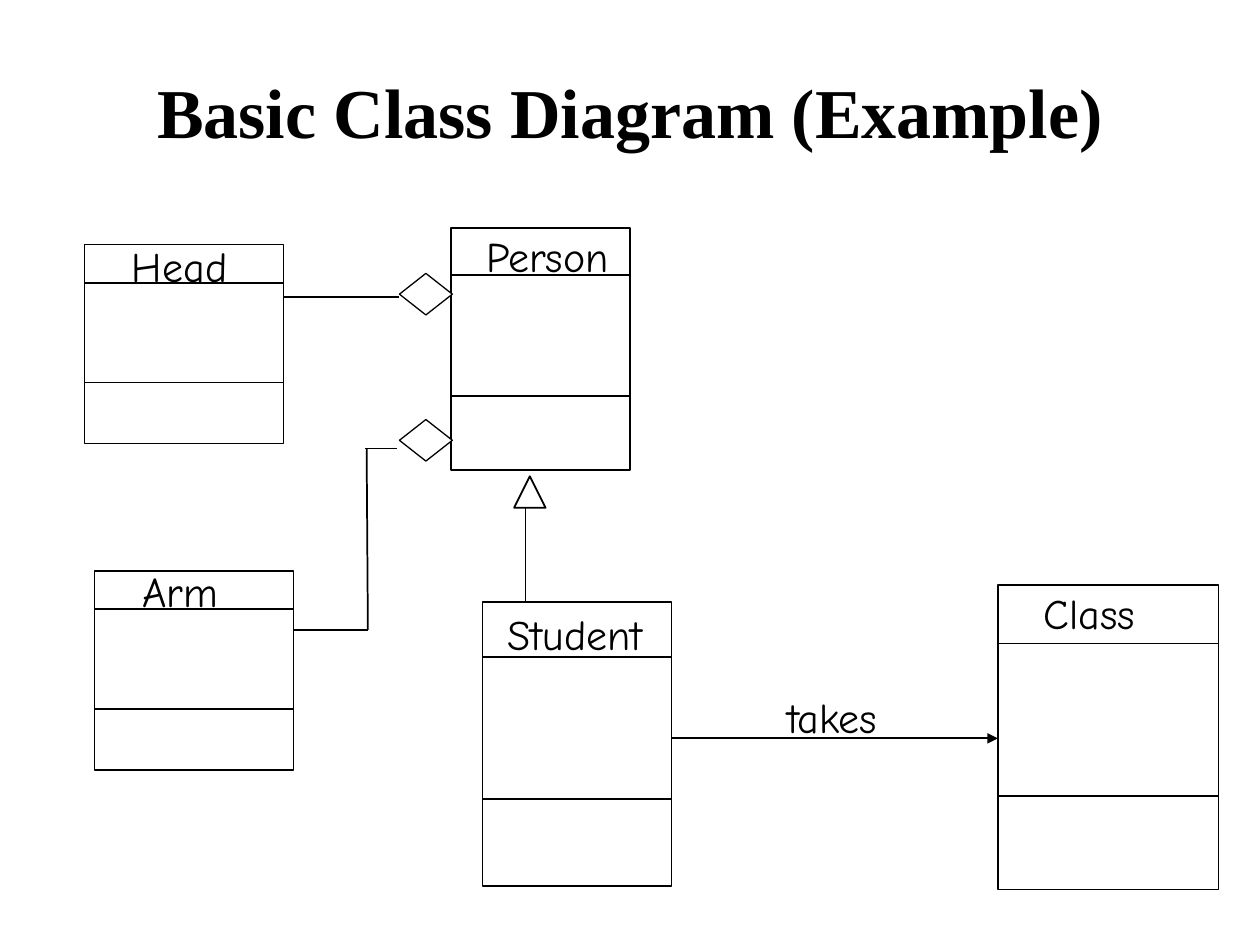
import pptx
import pptx.dml.color
import pptx.enum.shapes
import pptx.enum.text
import pptx.oxml.ns
import pptx.util
from lxml import etree

Inches = pptx.util.Inches
Pt = pptx.util.Pt
Shape = pptx.enum.shapes.MSO_SHAPE
Anchor = pptx.enum.text.MSO_ANCHOR
BLACK = pptx.dml.color.RGBColor(0, 0, 0)
WHITE = pptx.dml.color.RGBColor(255, 255, 255)
SPLITS = (0.193, 0.694)


def write(frame, text, size=24, font="Comic Neue", bold=False,
          anchor=Anchor.TOP, wrap=False):
    frame.word_wrap = wrap
    frame.vertical_anchor = anchor
    para = frame.paragraphs[0]
    para.alignment = pptx.enum.text.PP_ALIGN.CENTER
    run = para.add_run()
    run.text = text
    run.font.size = Pt(size)
    run.font.name = font
    run.font.bold = bold
    run.font.color.rgb = BLACK


class Chart:
    def __init__(self, slide):
        self.slide = slide
        self.font = "Comic Neue"
        self.ink = BLACK

    def label(self, text, *area, host=None, **style):
        host = host or self.slide.shapes
        box = host.add_textbox(*map(Inches, area))
        write(box.text_frame, text, **{"font": self.font, **style})

    def shape(self, kind, *area, host=None, fill=None, width=1):
        host = host or self.slide.shapes
        item = host.add_shape(kind, *map(Inches, area))
        item.shadow.inherit = False
        if fill is None:
            item.fill.background()
        else:
            item.fill.solid()
            item.fill.fore_color.rgb = fill
        item.line.color.rgb = self.ink
        item.line.width = Pt(width)

    def line(self, *ends, host=None, arrow=False):
        host = host or self.slide.shapes
        kind = pptx.enum.shapes.MSO_CONNECTOR.STRAIGHT
        link = host.add_connector(kind, *map(Inches, ends))
        link.line.color.rgb = self.ink
        link.line.width = Pt(1)
        if arrow:
            stroke = link.line._get_or_add_ln()
            etree.SubElement(stroke, pptx.oxml.ns.qn("a:tailEnd"), type="triangle")
        etree.SubElement(link._element.spPr, pptx.oxml.ns.qn("a:effectLst"))

    def entry(self, name, frame, spot):
        left, top, width, height = frame
        host = self.slide.shapes.add_group_shape().shapes
        self.shape(Shape.RECTANGLE, *frame, host=host)
        for split in SPLITS:
            level = top + height * split
            self.line(left, level, left + width, level, host=host)
        self.label(name, *spot, 0.5, host=host)


def main():
    deck = pptx.Presentation()
    deck.slide_width = Inches(10)
    deck.slide_height = Inches(7.5)
    chart = Chart(deck.slides.add_slide(deck.slide_layouts[6]))

    chart.label("Basic Class Diagram (Example)", 0.75, 0.42, 8.5, 0.92, size=40,
                font="Times New Roman", bold=True, anchor=Anchor.MIDDLE, wrap=True)

    for name, frame, spot in (
        ("Person", (3.58, 1.81, 1.42, 1.92), (3.73, 1.78, 1.23)),
        ("Student", (3.83, 4.78, 1.5, 2.25), (3.83, 4.78, 1.47)),
        ("Class", (7.92, 4.64, 1.75, 2.42), (8.15, 4.61, 0.99)),
        ("Head", (0.67, 1.94, 1.58, 1.58), (0.92, 1.86, 1.01)),
        ("Arm", (0.75, 4.53, 1.58, 1.58), (1, 4.44, 0.86)),
    ):
        chart.entry(name, frame, spot)

    chart.shape(Shape.ISOSCELES_TRIANGLE, 4.08, 3.78, 0.25, 0.25)
    chart.line(4.17, 4.03, 4.17, 4.78)

    chart.line(5.33, 5.86, 7.92, 5.86, arrow=True)
    chart.label("takes", 6.08, 5.44, 1.05, 0.5)

    chart.line(3.17, 2.36, 2.25, 2.36)
    chart.line(2.92, 5, 2.33, 5)
    chart.line(2.92, 5, 2.91, 3.56)
    chart.line(2.9, 3.56, 3.15, 3.56)
    for top in (2.17, 3.33):
        chart.shape(Shape.DIAMOND, 3.17, top, 0.42, 0.33, fill=WHITE, width=0.75)

    deck.save("out.pptx")


if __name__ == "__main__":
    main()
